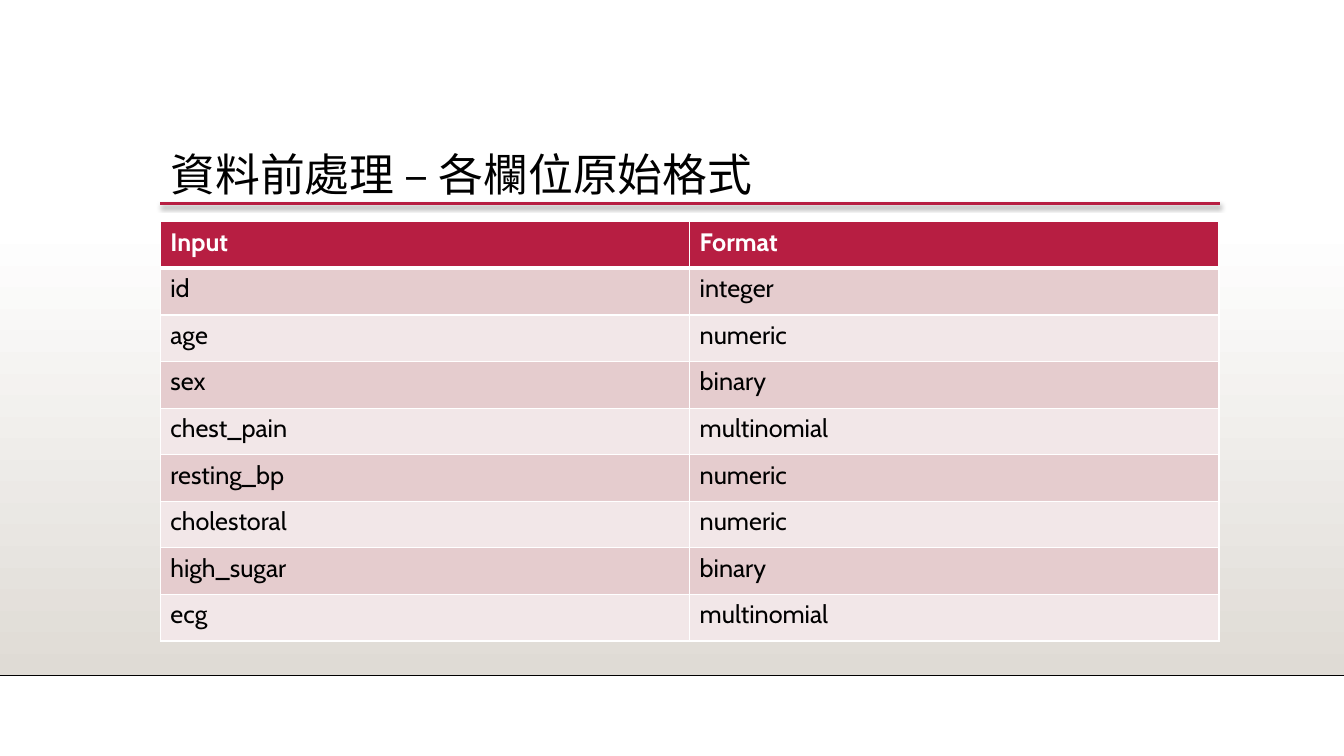
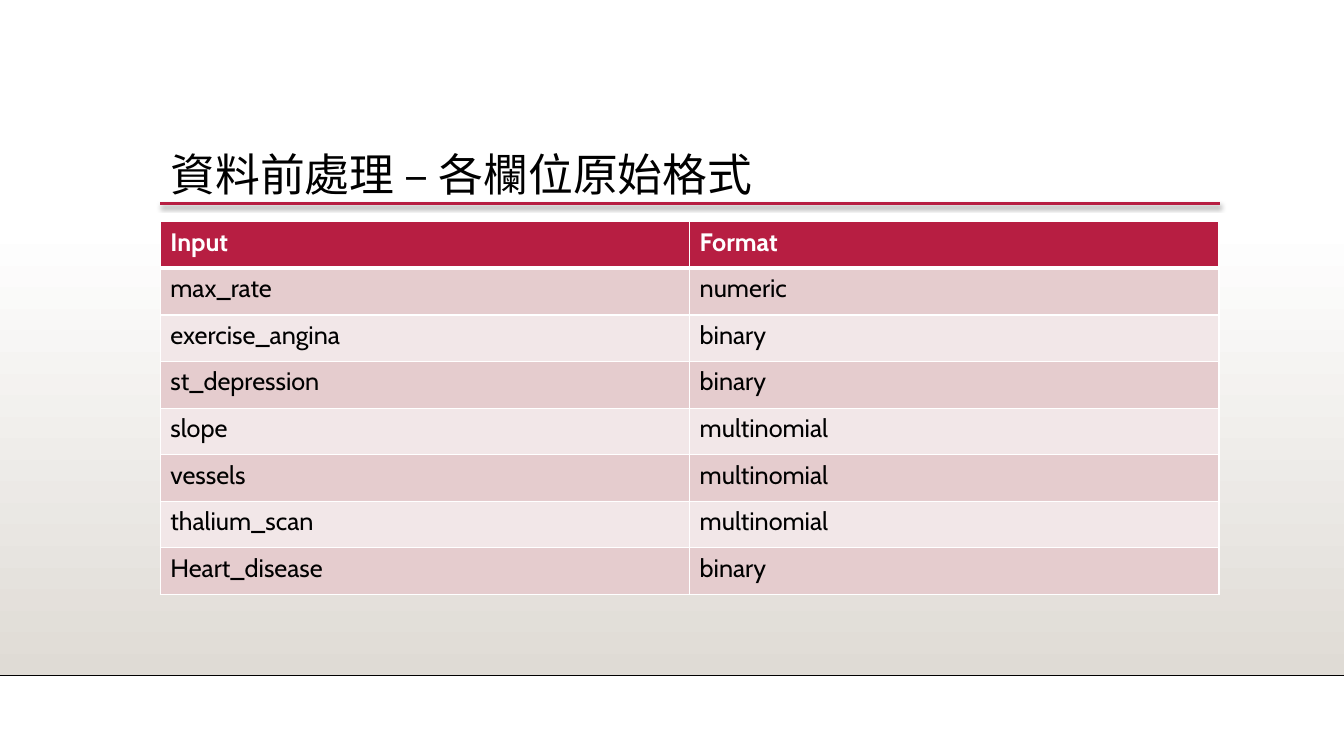
from lxml import etree
from pptx import Presentation
from pptx.dml.color import RGBColor
from pptx.enum import shapes, text
from pptx.oxml import ns
from pptx.util import Inches, Pt

HUES = {
    "red": "B71E42", "rose": "E5CCCE", "pale": "F2E7E8", "sand": "DFDBD5",
    "white": "FFFFFF", "black": "000000", "edge": "000001",
}
LEFT, WIDE, ROW = 1.59, 10.5, 4.16 / 9
TITLE = "資料前處理 – 各欄位原始格式"
HEAD = ("Input", "Format")
PAGES = [
    [("id", "integer"), ("age", "numeric"), ("sex", "binary"),
     ("chest_pain", "multinomial"), ("resting_bp", "numeric"),
     ("cholestoral", "numeric"), ("high_sugar", "binary"),
     ("ecg", "multinomial")],
    [("max_rate", "numeric"), ("exercise_angina", "binary"),
     ("st_depression", "binary"), ("slope", "multinomial"),
     ("vessels", "multinomial"), ("thalium_scan", "multinomial"),
     ("Heart_disease", "binary")],
]


def rgb(name):
    """Return the named colour."""
    return RGBColor.from_string(HUES[name])


def node(root, tag, **attrs):
    """Append a drawing element to root."""
    return etree.SubElement(root, ns.qn("a:" + tag), attrs)


def write(frame, words, font="Cabin", size=18, hue="black", bold=False, gap=None):
    """Put formatted words in a text frame."""
    para = frame.paragraphs[0]
    para.alignment = text.PP_ALIGN.LEFT
    para.line_spacing = gap
    run = para.add_run()
    run.text = words
    run.font.name = font
    run.font.size = Pt(size)
    run.font.bold = bold
    run.font.color.rgb = rgb(hue)
    node(run.font._element, "ea", typeface=font)


class Deck:
    """Hold the shared style and the current slide."""

    def __init__(self):
        """Open an empty wide deck."""
        self.prs = Presentation()
        self.prs.slide_width = Inches(13.33)
        self.prs.slide_height = Inches(7.5)

    def page(self, title):
        """Start a slide with its band, rules and title."""
        self.slide = self.prs.slides.add_slide(self.prs.slide_layouts[5])
        self.band(2.21, 4.49)
        self.rule(0, 13.33, 6.7, "edge", 1)
        self.rule(LEFT, 12.1, 2.02, "red", 2.5, shade=True)
        self.title(title)

    def band(self, top, high):
        """Draw the full-width fading band."""
        band = self.slide.shapes.add_shape(
            shapes.MSO_SHAPE.RECTANGLE, 0, Inches(top), Inches(13.33), Inches(high))
        band.shadow.inherit = False
        band.line.fill.background()
        band.fill.gradient()
        band.fill.gradient_angle = 270
        for stop, hue, pos in zip(band.fill.gradient_stops, ("white", "sand"), (0, 1)):
            stop.color.rgb = rgb(hue)
            stop.position = pos

    def rule(self, start, end, top, hue, width, shade=False):
        """Draw a level line, with a soft shadow if asked."""
        line = self.slide.shapes.add_connector(
            shapes.MSO_CONNECTOR.STRAIGHT,
            Inches(start), Inches(top), Inches(end), Inches(top))
        line.line.color.rgb = rgb(hue)
        line.line.width = Pt(width)
        fx = node(line._element.spPr, "effectLst")
        if shade:
            cast = node(fx, "outerShdw", blurRad=str(Pt(3.1)), dist=str(Pt(1.8)),
                        dir="5400000", algn="tl", rotWithShape="0")
            tint = node(cast, "srgbClr", val=HUES["black"])
            node(tint, "alpha", val="35000")

    def title(self, words):
        """Place and fill the title."""
        box = self.slide.shapes.title
        box.left, box.top = Inches(LEFT), Inches(1.48)
        box.width, box.height = Inches(WIDE), Inches(0.55)
        frame = box.text_frame
        frame.auto_size = text.MSO_AUTO_SIZE.NONE
        frame.vertical_anchor = text.MSO_ANCHOR.MIDDLE
        write(frame, words, font="Noto Sans CJK TC", size=32, gap=0.9)

    def table(self, rows):
        """Add a striped table under a red header."""
        grid = self.slide.shapes.add_table(
            len(rows) + 1, len(HEAD), Inches(LEFT), Inches(2.2),
            Inches(WIDE), Inches(ROW * (len(rows) + 1))).table
        for i, row in enumerate([HEAD, *rows]):
            top = i == 0
            fill = "red" if top else ("pale", "rose")[i % 2]
            for j, words in enumerate(row):
                cell = grid.cell(i, j)
                write(cell.text_frame, words, hue="white" if top else "black", bold=top)
                self.edges(cell, T=3 if i == 1 else 0.96, B=3 if top else 0.96)
                cell.fill.solid()
                cell.fill.fore_color.rgb = rgb(fill)

    def edges(self, cell, **sizes):
        """Give a cell white borders."""
        props = cell._tc.get_or_add_tcPr()
        for side in "LRTB":
            line = node(props, "ln" + side, w=str(Pt(sizes.get(side, 0.96))))
            node(node(line, "solidFill"), "srgbClr", val=HUES["white"])


def main():
    """Build and save the deck."""
    deck = Deck()
    for rows in PAGES:
        deck.page(TITLE)
        deck.table(rows)
    deck.prs.save("out.pptx")


if __name__ == "__main__":
    main()
